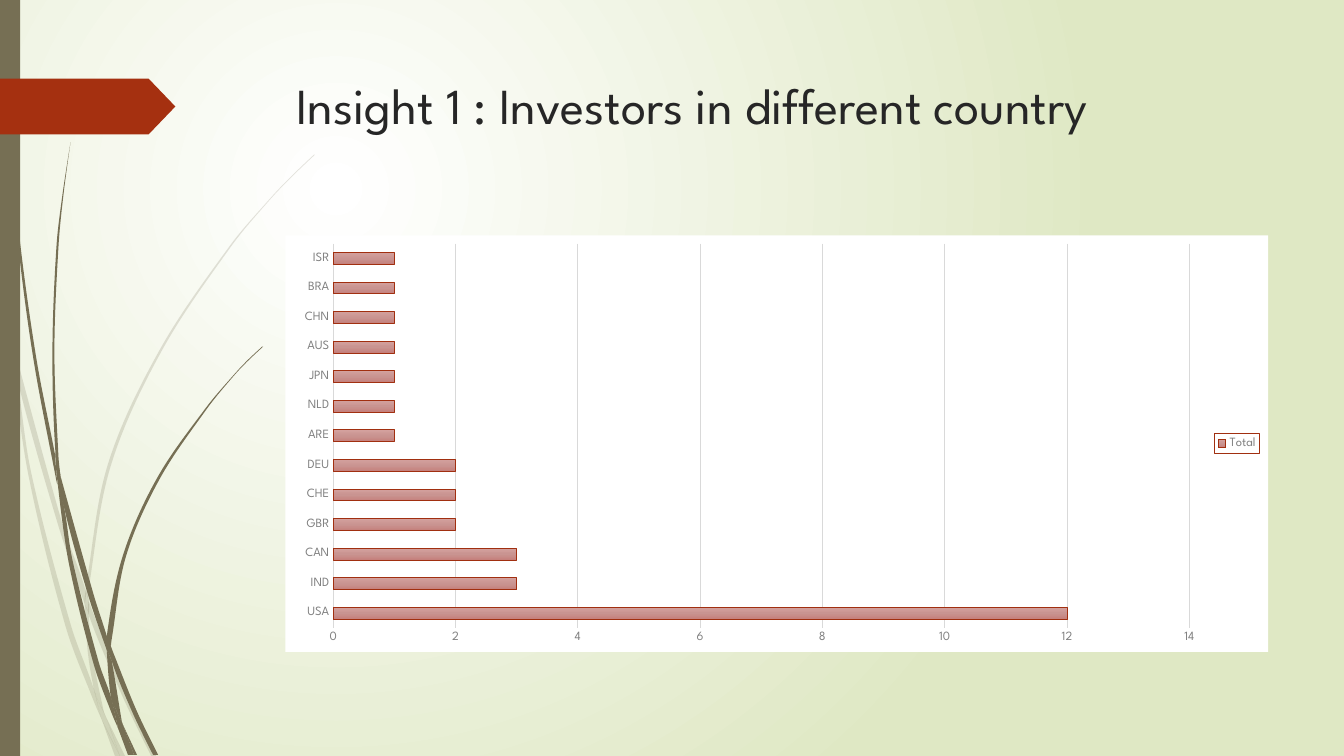
from copy import deepcopy
from math import dist

from pptx import Presentation
from pptx.chart.data import CategoryChartData
from pptx.dml.color import RGBColor
from pptx.enum.chart import XL_CHART_TYPE, XL_LEGEND_POSITION, XL_TICK_MARK
from pptx.enum.shapes import MSO_SHAPE
from pptx.enum.text import MSO_ANCHOR, PP_ALIGN
from pptx.oxml import parse_xml
from pptx.oxml.ns import nsdecls, qn
from pptx.util import Cm, Pt

STACKED_BARS = XL_CHART_TYPE.BAR_STACKED
LEGEND_RIGHT = XL_LEGEND_POSITION.RIGHT
NO_TICKS = XL_TICK_MARK.NONE
RECTANGLE, ARROW_TAG = MSO_SHAPE.RECTANGLE, MSO_SHAPE.PENTAGON
TOP, LEFT = MSO_ANCHOR.TOP, PP_ALIGN.LEFT

WHITE = RGBColor(0xFF, 0xFF, 0xFF)
PALE_GREEN = RGBColor(0xDF, 0xE8, 0xC4)
OLIVE = RGBColor(0x76, 0x6F, 0x54)
RUST = RGBColor(0xA5, 0x30, 0x10)
BAR_EDGE = RGBColor(0xA1, 0x2F, 0x10)
BAR_SHADES = [RGBColor(0xD4, 0xA1, 0x9E), RGBColor(0xC9, 0x94, 0x91), RGBColor(0xC5, 0x80, 0x7C)]
INK = RGBColor(0x26, 0x26, 0x26)
LABEL_GREY = RGBColor(0x80, 0x80, 0x80)
GRID_GREY = RGBColor(0xD9, 0xD9, 0xD9)

# Outlines of the grass pieces, in grass units.
GRASS_UNIT = Cm(0.0254)
PALE_GRASS = [
    [(11, 350), (9, 322), (0, 282), (0, 299), (10, 344)],
    [(58, 522), (84, 599), (85, 586), (62, 520), (14, 345), (17, 376)],
    [(92, 607), (88, 596), (88, 610), (123, 694), (150, 750), (155, 750), (127, 692)],
    [(119, 750), (124, 750), (105, 711)],
    [(93, 683), (70, 619), (31, 469), (17, 376), (11, 350), (28, 470), (65, 621), (92, 693),
     (101, 714), (99, 707)],
    [(84, 599), (87, 646), (93, 683), (96, 692), (105, 711), (103, 706), (91, 646), (88, 610),
     (88, 608)],
    [(88, 584), (110, 462), (160, 349), (229, 245), (268, 198), (290, 175), (312, 154),
     (312, 153), (289, 175), (268, 197), (228, 244), (158, 348), (107, 461), (85, 584),
     (85, 586), (88, 596)],
    [(101, 714), (114, 750), (119, 750)],
    [(88, 608), (88, 610), (88, 596), (85, 586), (84, 599)],
    [(96, 692), (93, 683), (99, 707), (101, 714), (119, 750), (105, 711)],
]
DARK_GRASS = [
    [(7, 110), (17, 233), (33, 355), (56, 477), (57, 481), (55, 457), (55, 453), (36, 355),
     (19, 232), (8, 109), (5, 48), (4, 0), (3, 0), (4, 48)],
    [(88, 592), (106, 645), (106, 633), (106, 631), (93, 590), (60, 472), (64, 505)],
    [(113, 649), (110, 641), (111, 656), (132, 708), (152, 749), (157, 749), (136, 706)],
    [(110, 691), (98, 657), (72, 556), (64, 505), (57, 477), (68, 557), (93, 659), (111, 708),
     (117, 722), (116, 717)],
    [(60, 472), (58, 453), (54, 349), (58, 245), (63, 193), (70, 141), (62, 193), (56, 245),
     (52, 349), (55, 449)],
    [(133, 749), (136, 749), (122, 719)],
    [(57, 477), (64, 505), (60, 472), (55, 449), (55, 453)],
    [(111, 633), (125, 552), (158, 476), (205, 406), (231, 374), (245, 359), (261, 344),
     (260, 344), (245, 358), (231, 373), (204, 405), (156, 474), (122, 551), (106, 631),
     (110, 641)],
    [(117, 722), (127, 749), (131, 749)],
    [(106, 645), (110, 691), (116, 706), (122, 719), (121, 716), (111, 656), (109, 651)],
    [(106, 645), (109, 651), (111, 656), (110, 641), (106, 631), (106, 633)],
    [(116, 706), (110, 691), (116, 717), (117, 722), (130, 749), (133, 749), (122, 719)],
]

INVESTORS = {
    "USA": 12, "IND": 3, "CAN": 3, "GBR": 2, "CHE": 2, "DEU": 2, "ARE": 1,
    "NLD": 1, "JPN": 1, "AUS": 1, "CHN": 1, "BRA": 1, "ISR": 1,
}


def tangent(before, point, after):
    """Return the unit direction of a curve at a point, or zero at a sharp corner."""
    (ax, ay), (bx, by) = [(q[0] - p[0], q[1] - p[1]) for p, q in ((before, point), (point, after))]
    if ax * bx + ay * by < 0.8 * dist(before, point) * dist(point, after):
        return 0, 0
    length = dist(before, after)
    return (ax + bx) / length, (ay + by) / length


def bend(outline):
    """Turn the straight sides of a closed outline into smooth curves."""
    nodes = outline.findall(".//" + qn("a:pt"))[:-1]
    points = [(int(node.get("x")), int(node.get("y"))) for node in nodes]
    count = len(points)
    tangents = [tangent(points[i - 1], points[i], points[(i + 1) % count]) for i in range(count)]
    for i, side in enumerate(outline.findall(".//" + qn("a:lnTo"))):
        j = (i + 1) % count
        reach = dist(points[i], points[j]) / 3
        handles = [[round(c + sign * reach * t) for c, t in zip(points[k], tangents[k])]
                   for k, sign in ((i, 1), (j, -1))]
        dots = "".join(f'<a:pt x="{x}" y="{y}"/>' for x, y in [*handles, points[j]])
        side.getparent().replace(side, parse_xml(
            f'<a:cubicBezTo {nsdecls("a")}>{dots}</a:cubicBezTo>'))


def fill_gradient(fill, owner, colors):
    """Give a fill evenly spaced colour stops and return its gradient element."""
    fill.gradient()
    gradient = owner.find(".//" + qn("a:gradFill"))
    stop_list = gradient.find(qn("a:gsLst"))
    while len(stop_list) < len(colors):
        stop_list.append(deepcopy(stop_list[-1]))
    for index, (stop, color) in enumerate(zip(fill.gradient_stops, colors)):
        stop.color.rgb, stop.position = color, index / (len(colors) - 1)
    return gradient


def frame_chart_part(element, line):
    """Give a chart or legend a white fill and the given outline."""
    element.find(qn("c:txPr")).addprevious(parse_xml(
        f'<c:spPr {nsdecls("c", "a")}><a:solidFill><a:srgbClr val="{WHITE}"/></a:solidFill>'
        f'<a:ln w="9525">{line}</a:ln></c:spPr>'))


class SlideBuilder:
    font_name = "League Spartan"

    def __init__(self, presentation):
        self.slide = presentation.slides.add_slide(presentation.slide_layouts[5])
        self.shapes = self.slide.shapes

    def style_font(self, font, size, color):
        font.name, font.size, font.bold = self.font_name, Pt(size), False
        font.color.rgb = color

    def background(self, inner, outer):
        gradient = fill_gradient(self.slide.background.fill, self.slide.element, [inner, outer])
        gradient.replace(gradient.find(qn("a:lin")), parse_xml(
            f'<a:path {nsdecls("a")} path="circle">'
            '<a:fillToRect l="50000" t="50000" r="100000" b="100000"/></a:path>'))

    def paint(self, shape, color):
        shape.shadow.inherit = False
        shape.fill.solid()
        shape.fill.fore_color.rgb = color
        shape.line.fill.background()

    def block(self, kind, left, top, width, height, color):
        shape = self.shapes.add_shape(kind, Cm(left), Cm(top), Cm(width), Cm(height))
        self.paint(shape, color)
        return shape

    def grass(self, outline, color, opacity=100):
        points = [(x * GRASS_UNIT, y * GRASS_UNIT) for x, y in outline]
        builder = self.shapes.build_freeform(*points[0])
        builder.add_line_segments([*points[1:], points[0]])
        shape = builder.convert_to_shape()
        bend(shape.element)
        self.paint(shape, color)
        if opacity < 100:
            tint = shape.element.spPr.find(qn("a:solidFill"))[0]
            tint.append(parse_xml(f'<a:alpha {nsdecls("a")} val="{opacity * 1000}"/>'))

    def title(self, text, left, top, width, height):
        title = self.shapes.title
        title.left, title.top, title.width, title.height = map(Cm, (left, top, width, height))
        frame = title.text_frame
        frame.text, frame.word_wrap, frame.vertical_anchor = text, True, TOP
        frame.paragraphs[0].alignment = LEFT
        self.style_font(frame.paragraphs[0].font, 36, INK)

    def bar_chart(self, name, values, left, top, width, height):
        data = CategoryChartData()
        data.categories = values.keys()
        data.add_series(name, values.values())
        chart = self.shapes.add_chart(
            STACKED_BARS, Cm(left), Cm(top), Cm(width), Cm(height), data).chart
        chart.has_title = False
        self.style_font(chart.font, 10, LABEL_GREY)
        frame_chart_part(chart.element, "<a:noFill/>")

        for axis in (chart.category_axis, chart.value_axis):
            axis.major_tick_mark = axis.minor_tick_mark = NO_TICKS
            axis.format.line.fill.background()
            self.style_font(axis.tick_labels.font, 9, LABEL_GREY)
        grid = chart.value_axis.major_gridlines.format.line
        grid.color.rgb, grid.width = GRID_GREY, Pt(0.75)

        plot = chart.plots[0]
        plot.gap_width, plot.overlap, plot.vary_by_categories = 150, 100, False
        look = plot.series[0].format
        fill_gradient(look.fill, chart.element, BAR_SHADES)
        look.fill.gradient_angle = 270
        look.line.color.rgb, look.line.width = BAR_EDGE, Pt(0.75)

        chart.has_legend = True
        chart.legend.position, chart.legend.include_in_layout = LEGEND_RIGHT, False
        self.style_font(chart.legend.font, 9, LABEL_GREY)
        frame_chart_part(chart.element.find(".//" + qn("c:legend")),
                         f'<a:solidFill><a:srgbClr val="{BAR_EDGE}"/></a:solidFill>')


def main():
    presentation = Presentation()
    presentation.slide_width, presentation.slide_height = Cm(33.87), Cm(19.05)
    builder = SlideBuilder(presentation)
    builder.background(WHITE, PALE_GREEN)
    for opacity, pieces in ((20, PALE_GRASS), (100, DARK_GRASS)):
        for outline in pieces:
            builder.grass(outline, OLIVE, opacity)
    builder.block(RECTANGLE, 0, 0, 0.51, 19.05, OLIVE)
    builder.block(ARROW_TAG, 0, 1.98, 4.42, 1.41, RUST).adjustments[0] = 0.48
    builder.title("Insight 1 : Investors in different country", 7.21, 1.73, 24.77, 3.56)
    builder.bar_chart("Total", INVESTORS, 7.19, 5.93, 24.77, 10.5)
    presentation.save("out.pptx")


if __name__ == "__main__":
    main()
